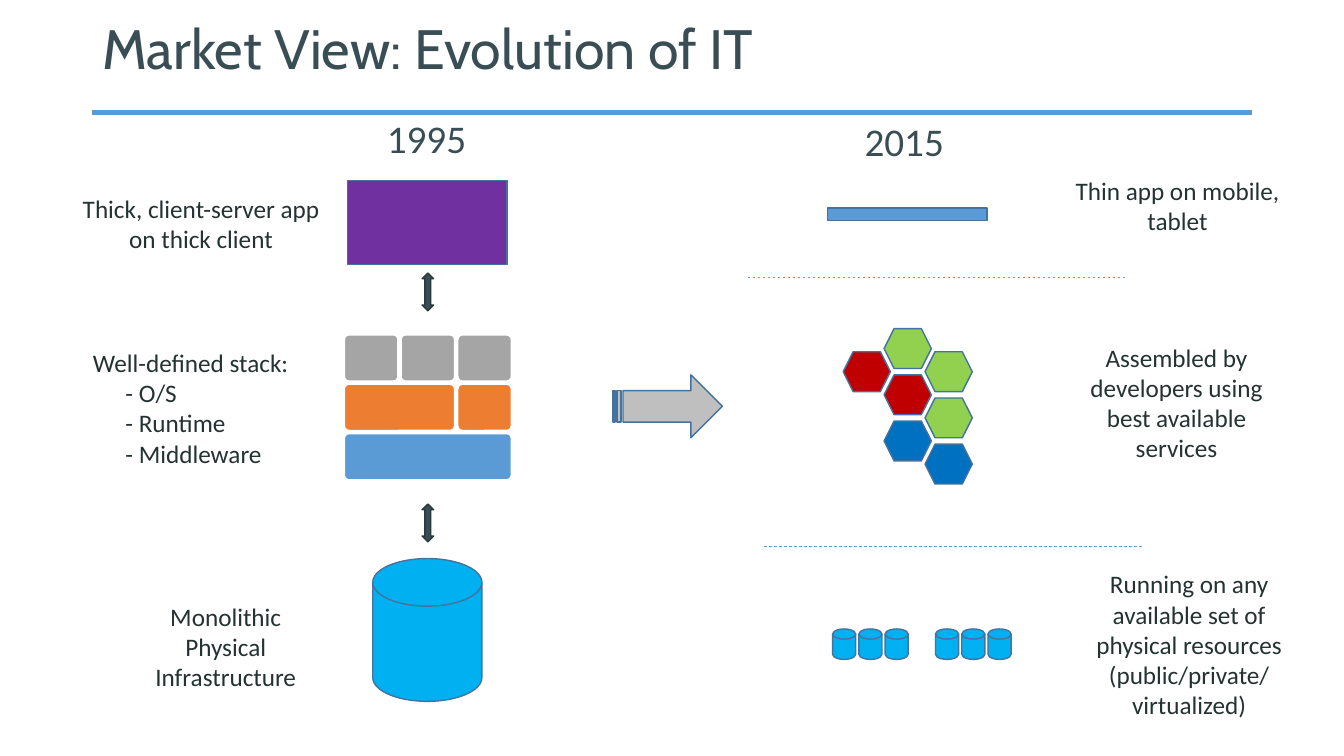
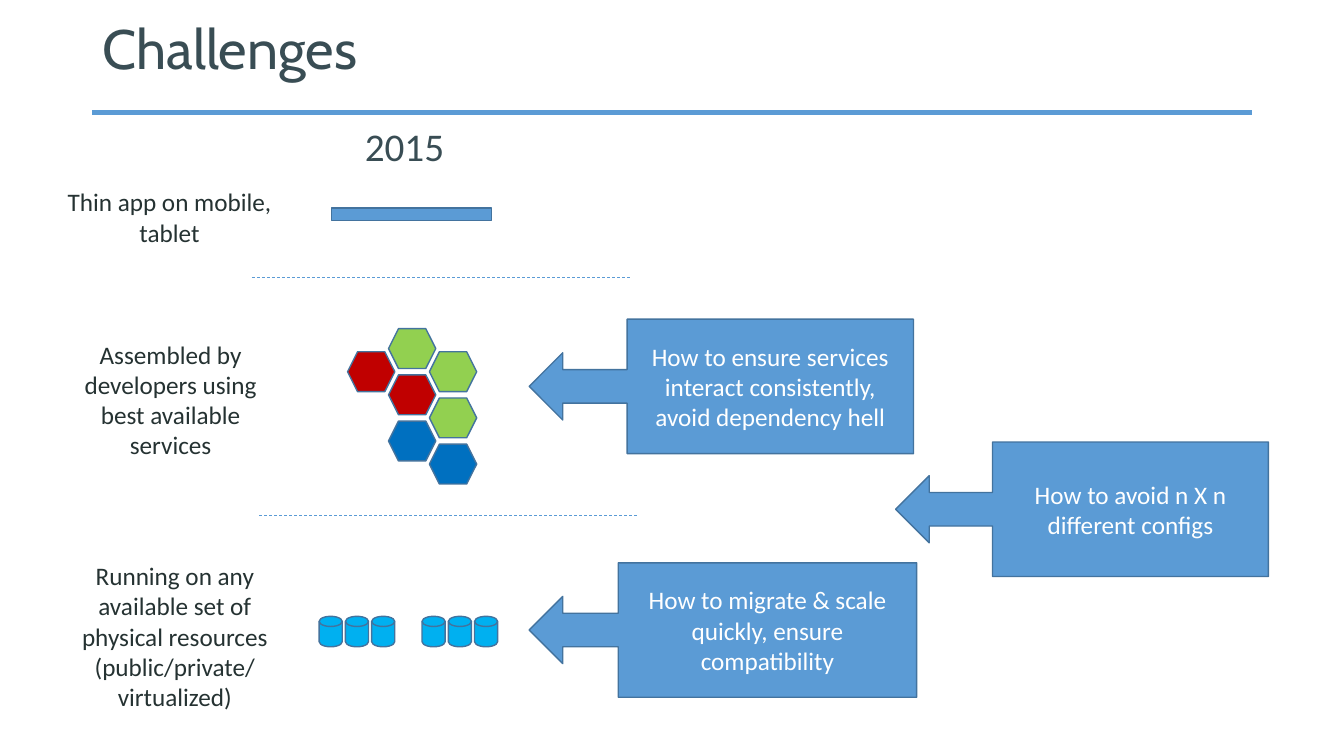
from dataclasses import dataclass

from lxml import etree
from pptx import Presentation
from pptx.dml.color import RGBColor
from pptx.enum.dml import MSO_LINE
from pptx.enum.shapes import MSO_CONNECTOR, MSO_SHAPE
from pptx.enum.text import MSO_ANCHOR, PP_ALIGN
from pptx.oxml.ns import qn
from pptx.util import Pt

PX = 9525
LINE = MSO_CONNECTOR.STRAIGHT
DASH = MSO_LINE.DASH
RECT = MSO_SHAPE.RECTANGLE
ROUND = MSO_SHAPE.ROUNDED_RECTANGLE
HEX = MSO_SHAPE.HEXAGON
DISK = MSO_SHAPE.FLOWCHART_MAGNETIC_DISK
ARROWS = MSO_SHAPE.UP_DOWN_ARROW
STRIPED = MSO_SHAPE.STRIPED_RIGHT_ARROW
CALLOUT = MSO_SHAPE.LEFT_ARROW_CALLOUT
LEFT = PP_ALIGN.LEFT
CENTER = PP_ALIGN.CENTER
TOP = MSO_ANCHOR.TOP
MIDDLE = MSO_ANCHOR.MIDDLE

COLORS = {
    "blue": "5B9BD5", "edge": "43739E", "slate": "394D54", "dark": "2A393E",
    "ink": "253232", "white": "FFFFFF", "purple": "7030A0", "red": "C00000",
    "green": "92D050", "navy": "0070C0", "cyan": "00B0F0", "orange": "ED7D31",
    "gray": "A5A5A5", "silver": "BFBFBF",
}


@dataclass(frozen=True)
class Box:
    x: int
    y: int
    w: int
    h: int


@dataclass(frozen=True)
class Style:
    size: float
    color: str
    font: str = "Calibri"
    align: PP_ALIGN = CENTER
    anchor: MSO_ANCHOR = TOP
    wrap: bool = True
    space: float = 1.0


@dataclass(frozen=True)
class Note:
    box: Box
    lines: tuple[str, ...]
    items: tuple[str, ...] = ()


@dataclass(frozen=True)
class Cell:
    col: int
    row: int
    color: str
    span: int = 1


@dataclass(frozen=True)
class Call:
    box: Box
    text: str
    body: float


@dataclass(frozen=True)
class Modern:
    x: int
    year: tuple[int, int]
    split: tuple[int, int]
    disks: tuple[int, int]
    notes: tuple[tuple[int, int], ...]


TITLE = Style(39.6, "slate", "Cabin", LEFT, MIDDLE, space=0.9)
YEAR = Style(28, "slate", align=LEFT, wrap=False)
BODY = Style(18, "ink")
CALL = Style(18, "white", anchor=MIDDLE)
INDENT = 43

HEXES = (
    Cell(0, 1, "red"), Cell(1, 2, "red"), Cell(2, 1, "green"),
    Cell(1, 0, "green"), Cell(2, 3, "green"), Cell(1, 4, "navy"),
    Cell(2, 5, "navy"),
)
BLOCKS = (
    Cell(0, 0, "blue", 3), Cell(0, 1, "orange", 2), Cell(2, 1, "orange"),
    Cell(0, 2, "gray"), Cell(1, 2, "gray"), Cell(2, 2, "gray"),
)
MODERN_NOTES = (
    (235, 68, ("Thin app on mobile, tablet",)),
    (217, 126, ("Assembled by developers using best available services",)),
    (211, 156, ("Running on any available set of physical resources",
                "(public/private/", "virtualized)")),
)
CLASSIC_NOTES = (
    Note(Box(66, 179, 251, 68), ("Thick, client-server app on thick client",)),
    Note(Box(67, 326, 229, 126), ("Well-defined stack:",),
         ("- O/S", "- Runtime", "- Middleware")),
    Note(Box(100, 568, 230, 97), ("Monolithic", "Physical", "Infrastructure")),
)
CALLS = (
    Call(Box(504, 304, 366, 128),
         "How to ensure services interact consistently, avoid dependency hell", 0.745),
    Call(Box(504, 536, 369, 128),
         "How to migrate & scale quickly, ensure compatibility", 0.77),
    Call(Box(853, 421, 355, 128), "How to avoid n X n different configs", 0.74),
)
RIGHT_ERA = Modern(788, (814, 107), (728, 520), (793, 599),
                   ((1004, 162), (1012, 321), (1027, 537)))
LEFT_ERA = Modern(316, (338, 112), (247, 491), (304, 587),
                  ((44, 173), (54, 318), (61, 529)))


def tint(name: str) -> RGBColor:
    return RGBColor.from_string(COLORS[name])


def place(box: Box) -> tuple[int, ...]:
    return tuple(n * PX for n in (box.x, box.y, box.w, box.h))


def write(frame, lines: tuple[str, ...], style: Style, items: tuple[str, ...] = ()) -> None:
    frame.word_wrap = style.wrap
    frame.vertical_anchor = style.anchor
    for i, line in enumerate(lines + items):
        para = frame.paragraphs[0] if i == 0 else frame.add_paragraph()
        para.text = line
        para.alignment = style.align
        para.line_spacing = style.space
        para.font.size = Pt(style.size)
        para.font.name = style.font
        para.font.color.rgb = tint(style.color)
        if i >= len(lines):
            para.alignment = LEFT
            para._p.get_or_add_pPr().set("marL", str(INDENT * PX))


def add_text(slide, box: Box, lines: tuple[str, ...], style: Style,
             items: tuple[str, ...] = ()) -> None:
    write(slide.shapes.add_textbox(*place(box)).text_frame, lines, style, items)


def add_shape(slide, kind: MSO_SHAPE, box: Box, fill: str, edge: str = "edge"):
    shape = slide.shapes.add_shape(kind, *place(box))
    shape.shadow.inherit = False
    shape.fill.solid()
    shape.fill.fore_color.rgb = tint(fill)
    shape.line.color.rgb = tint(edge)
    shape.line.width = Pt(1)
    return shape


def add_line(slide, x: int, y: int, w: int, width: float, dash: bool = False) -> None:
    line = slide.shapes.add_connector(LINE, x * PX, y * PX, (x + w) * PX, y * PX)
    line.line.color.rgb = tint("blue")
    line.line.width = Pt(width)
    if dash:
        line.line.dash_style = DASH
    etree.SubElement(line._element.spPr, qn("a:effectLst"))


def add_page(deck, title: str):
    slide = deck.slides.add_slide(deck.slide_layouts[6])
    add_line(slide, 88, 107, 1104, 3.75)
    add_text(slide, Box(88, 14, 1104, 70), (title,), TITLE)
    return slide


def add_year(slide, x: int, y: int, year: str) -> None:
    add_text(slide, Box(x, y, 96, 55), (year,), YEAR)


def draw_classic(slide) -> None:
    add_year(slide, 359, 104, "1995")
    add_shape(slide, RECT, Box(331, 172, 152, 80), "purple")
    for cell in BLOCKS:
        box = Box(328 + 54 * cell.col, 413 - 47 * cell.row, 54 * cell.span - 3, 44)
        block = add_shape(slide, ROUND, box, cell.color, "white")
        block.adjustments[0] = 0.1
    add_shape(slide, DISK, Box(355, 532, 104, 136), "cyan")
    for y in (260, 480):
        add_shape(slide, ARROWS, Box(402, y, 11, 36), "slate", "dark")
    for note in CLASSIC_NOTES:
        add_text(slide, note.box, note.lines, BODY, note.items)


def draw_modern(slide, era: Modern) -> None:
    add_year(slide, *era.year, "2015")
    add_shape(slide, RECT, Box(era.x, 198, 152, 12), "blue")
    for cell in HEXES:
        box = Box(era.x + 15 + 39 * cell.col, 313 + 22 * cell.row, 45, 38)
        add_shape(slide, HEX, box, cell.color)
    for x, y in ((era.x - 76, 264), era.split):
        add_line(slide, x, y, 360, 0.5, True)
    left, top = era.disks
    for group in range(2):
        for i in range(3):
            add_shape(slide, DISK, Box(left + 98 * group + 25 * i, top, 22, 29), "cyan")
    for (x, y), (w, h, lines) in zip(era.notes, MODERN_NOTES):
        add_text(slide, Box(x, y, w, h), lines, BODY)


def draw_call(slide, call: Call) -> None:
    shape = add_shape(slide, CALLOUT, call.box, "blue")
    for i, value in enumerate((0.25, 0.25, 0.25, call.body)):
        shape.adjustments[i] = value
    write(shape.text_frame, (call.text,), CALL)


def main() -> None:
    deck = Presentation()
    deck.slide_width, deck.slide_height = 1280 * PX, 720 * PX

    market = add_page(deck, "Market View: Evolution of IT")
    draw_classic(market)
    draw_modern(market, RIGHT_ERA)
    add_shape(market, STRIPED, Box(584, 357, 104, 60), "silver")

    issues = add_page(deck, "Challenges")
    draw_modern(issues, LEFT_ERA)
    for call in CALLS:
        draw_call(issues, call)

    deck.save("out.pptx")


if __name__ == "__main__":
    main()
